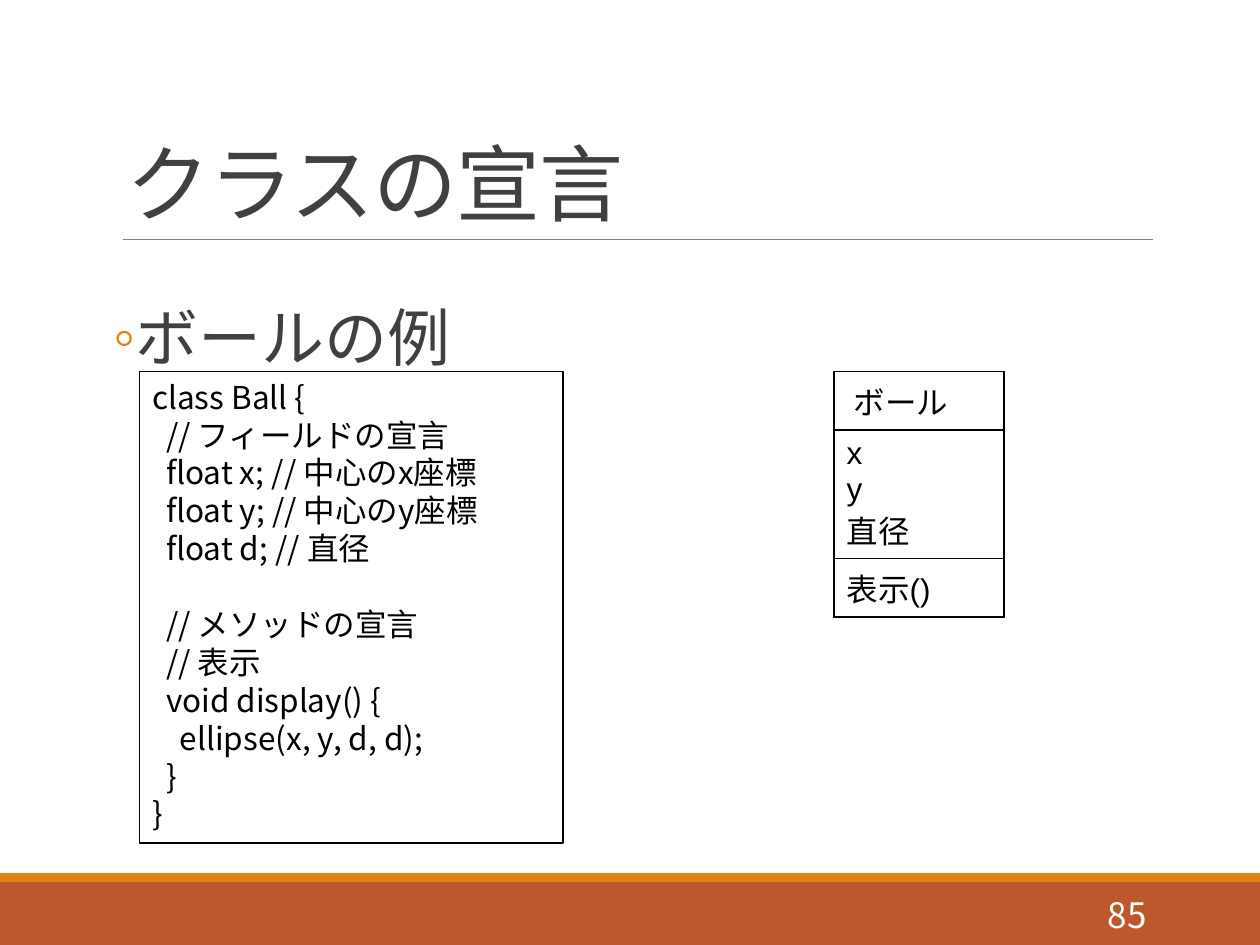
from lxml.etree import SubElement as Sub
from pptx import Presentation
from pptx.dml.color import RGBColor as RGB
from pptx.enum.shapes import MSO_CONNECTOR as Conn, MSO_SHAPE as Kind
from pptx.enum.text import MSO_ANCHOR as Anchor, MSO_AUTO_SIZE as Auto, PP_ALIGN as Align
from pptx.oxml.ns import qn
from pptx.util import Inches, Pt

COLORS = {"rust": "BD582C", "amber": "E48312", "rule": "808080",
          "text": "404040", "black": "000000", "white": "FFFFFF"}
FONT = "Noto Sans CJK JP"
STEP = 0.11  # indent of one code level

# Indent level and text; an empty text opens a gap before the next line
CODE = [(0, "class Ball {"),
        (1, "// フィールドの宣言"),
        (1, "float x; // 中心のx座標"),
        (1, "float y; // 中心のy座標"),
        (1, "float d; // 直径"),
        (0, ""),
        (1, "// メソッドの宣言"),
        (1, "// 表示"),
        (1, "void display() {"),
        (2, "ellipse(x, y, d, d);"),
        (1, "}"),
        (0, "}")]
ROWS = [(" ボール", 0.41), ("x\ny\n直径", 1.0), ("表示()", 0.4)]


def rgb(name):
    return RGB.from_string(COLORS[name])


def place(shape, left, top, width, height):
    shape.left, shape.top = Inches(left), Inches(top)
    shape.width, shape.height = Inches(width), Inches(height)


def write(par, text, size=18, color="black", font=FONT, align=Align.LEFT,
          line=None, before=0, after=0, left=0, hang=0, track=None):
    par.text = text
    par.alignment, par.line_spacing = align, line
    par.space_before, par.space_after = Pt(before), Pt(after)
    props = par._p.get_or_add_pPr()
    props.set("marL", str(Inches(left)))
    props.set("indent", str(Inches(-hang)))
    for run in par.runs:
        run.font.size, run.font.name = Pt(size), font
        run.font.color.rgb = rgb(color)
        look = run._r.get_or_add_rPr()
        Sub(look, qn("a:ea"), typeface=FONT)
        if track is not None:
            look.set("spc", str(int(track * 100)))


def setup(frame, anchor=Anchor.TOP):
    frame.word_wrap, frame.auto_size = True, Auto.NONE
    frame.vertical_anchor = anchor
    return frame.paragraphs[0]


def rect(slide, box, fill=None, line=None):
    shape = slide.shapes.add_shape(Kind.RECTANGLE, *map(Inches, box))
    shape.shadow.inherit = False
    if fill:
        shape.fill.solid()
        shape.fill.fore_color.rgb = rgb(fill)
    else:
        shape.fill.background()
    if line:
        shape.line.color.rgb, shape.line.width = rgb(line), Pt(0.75)
    else:
        shape.line.fill.background()
    return shape


def rule(slide, x1, x2, y):
    line = slide.shapes.add_connector(
        Conn.STRAIGHT, Inches(x1), Inches(y), Inches(x2), Inches(y))
    line.line.color.rgb, line.line.width = rgb("rule"), Pt(0.5)
    Sub(line._element.spPr, qn("a:effectLst"))


def bullet(par, char, color):
    props = par._p.get_or_add_pPr()
    Sub(Sub(props, qn("a:buClr")), qn("a:srgbClr"), val=COLORS[color])
    Sub(props, qn("a:buChar"), char=char)


def code(slide, box):
    frame = rect(slide, box, line="black").text_frame
    par, gap = setup(frame), 0
    for level, text in CODE:
        if not text:
            gap = 22
            continue
        if par.text:
            par = frame.add_paragraph()
        write(par, text, left=level * STEP, before=gap)
        gap = 0


def border(cell):
    props = cell._tc.get_or_add_tcPr()
    for side in ("lnL", "lnR", "lnT", "lnB"):
        line = Sub(props, qn("a:" + side), w=str(Pt(1)))
        Sub(Sub(line, qn("a:solidFill")), qn("a:srgbClr"), val=COLORS["black"])


def table(slide, left, top, width):
    height = sum(tall for _, tall in ROWS)
    box = map(Inches, (left, top, width, height))
    grid = slide.shapes.add_table(len(ROWS), 1, *box).table
    grid.first_row = grid.horz_banding = False
    for row, (text, tall) in zip(grid.rows, ROWS):
        row.height = Inches(tall)
        cell = row.cells[0]
        border(cell)
        cell.fill.solid()
        cell.fill.fore_color.rgb = rgb("white")
        write(cell.text_frame.paragraphs[0], text, font="Arial")


def main():
    deck = Presentation()
    deck.slide_width, deck.slide_height = Inches(10), Inches(7.5)
    slide = deck.slides.add_slide(deck.slide_layouts[1])

    # Footer bands and title rule
    rect(slide, (0, 7, 10, 0.5), fill="rust")
    rect(slide, (0, 6.93, 10, 0.07), fill="amber")
    rule(slide, 0.98, 9.15, 1.9)

    # Title and list
    title, body = slide.placeholders
    place(title, 0.9, 0.31, 8.25, 1.59)
    write(setup(title.text_frame, Anchor.BOTTOM), "クラスの宣言",
          size=48, color="text", line=0.85, track=-0.5)
    place(body, 0.9, 2.02, 8.25, 4.4)
    par = setup(body.text_frame)
    body.text_frame.margin_left = body.text_frame.margin_right = 0
    write(par, "ボールの例", size=36, color="text", line=1.5,
          before=12, after=2, left=0.1, hang=0.1)
    bullet(par, "◦", "amber")

    # Page number
    page = slide.shapes.add_textbox(*map(Inches, (8.12, 7.06, 1.08, 0.4)))
    write(setup(page.text_frame, Anchor.MIDDLE), "85",
          size=20, color="white", align=Align.RIGHT)

    # Code and class diagram
    code(slide, (1.11, 2.95, 3.36, 3.74))
    table(slide, 6.62, 2.95, 1.35)
    deck.save("out.pptx")


if __name__ == "__main__":
    main()
